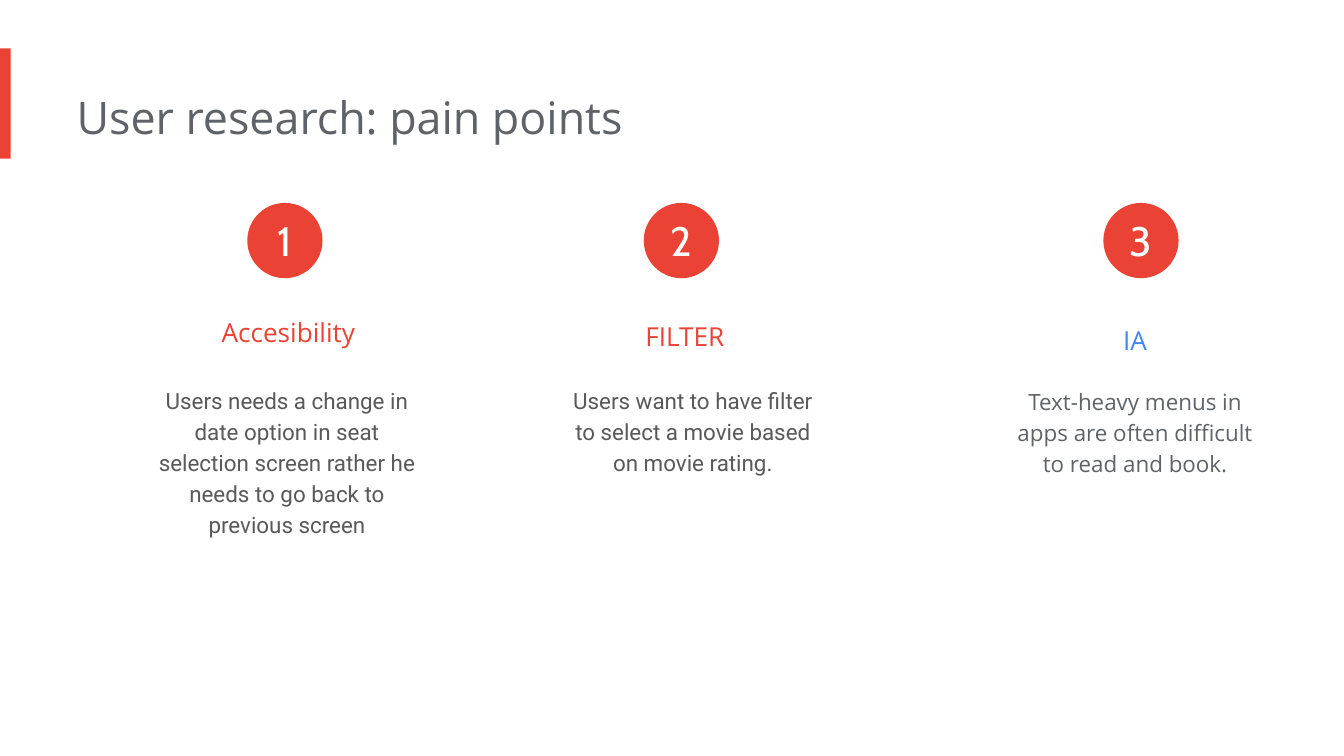
from pptx import Presentation
from pptx.dml.color import RGBColor
from pptx.enum.shapes import MSO_SHAPE
from pptx.enum.text import MSO_ANCHOR, MSO_AUTO_SIZE, PP_ALIGN
from pptx.util import Inches, Pt

RECT, OVAL = MSO_SHAPE.RECTANGLE, MSO_SHAPE.OVAL
LEFT, CENTER = PP_ALIGN.LEFT, PP_ALIGN.CENTER
MIDDLE = MSO_ANCHOR.MIDDLE
GROW = MSO_AUTO_SIZE.SHAPE_TO_FIT_TEXT

WIDE = Inches(10)
HIGH = WIDE * 9 // 16
COLORS = {"red": "EA4335", "blue": "4285F4", "gray": "5F6368",
          "dark": "595959", "white": "FFFFFF"}
SANS, BODY, DIGIT = "Open Sans", "Roboto", "Cabin"

# Positions are percentages of the slide: dot, head and note left edges, note top and height.
POINTS = [
    ("Accesibility", "red",
     "Users needs a change in date option in seat selection screen "
     "rather he needs to go back to previous screen",
     BODY, "dark", (18.4, 11.7, 11.6), (48.9, 24.18)),
    ("FILTER", "red",
     "Users want to have filter to select a movie based on movie rating.",
     BODY, "dark", (47.9, 41.2, 41.8), (48.9, 20.1)),
    ("IA", "blue",
     "Text-heavy menus in apps are often difficult to read and book.",
     SANS, "gray", (82.1, 74.7, 74.7), (49.07, 20.1)),
]


def color(name):
    return RGBColor.from_string(COLORS[name])


def place(x, y, w, h):
    return (round(WIDE * x / 100), round(HIGH * y / 100),
            round(WIDE * w / 100), round(HIGH * h / 100))


def write(frame, text, size, font, tint, align, space=1.0):
    frame.text = text
    para = frame.paragraphs[0]
    para.alignment = align
    para.line_spacing = space
    for run in para.runs:
        run.font.size = Pt(size)
        run.font.name = font
        run.font.color.rgb = color(tint)


def add_text(slide, box, text, size, font, tint, align=CENTER, space=1.0):
    frame = slide.shapes.add_textbox(*place(*box)).text_frame
    frame.word_wrap = True
    frame.auto_size = GROW
    frame.margin_left = 0
    frame.margin_top = frame.margin_right = frame.margin_bottom = Inches(0.1)
    write(frame, text, size, font, tint, align, space)


def add_fill(slide, kind, box):
    shape = slide.shapes.add_shape(kind, *place(*box))
    shape.shadow.inherit = False
    shape.fill.solid()
    shape.fill.fore_color.rgb = color("red")
    shape.line.fill.background()
    return shape


def add_dot(slide, x, digit):
    frame = add_fill(slide, OVAL, (x, 26.84, 5.6, 9.96)).text_frame
    frame.margin_left = frame.margin_right = 0
    frame.margin_top = frame.margin_bottom = 0
    frame.vertical_anchor = MIDDLE
    write(frame, digit, 22, DIGIT, "white", CENTER)


def add_point(slide, index, point):
    head, tint, note, font, shade, lefts, span = point
    dot_x, head_x, note_x = lefts
    top, tall = span
    add_dot(slide, dot_x, str(index + 1))
    add_text(slide, (head_x, 38.04 + 0.53 * index, 20.5, 9.96),
             head, 14, SANS, tint, space=1.5)
    add_text(slide, (note_x, top, 20.5, tall),
             note, 12, font, shade, space=1.15)


def main():
    deck = Presentation()
    deck.slide_width, deck.slide_height = WIDE, HIGH
    slide = deck.slides.add_slide(deck.slide_layouts[6])
    add_fill(slide, RECT, (0, 6.4, 0.8, 14.58))
    add_text(slide, (5.7, 10.13, 67.3, 10.84),
             "User research: pain points", 24, SANS, "gray", LEFT)
    for index, point in enumerate(POINTS):
        add_point(slide, index, point)
    deck.save("out.pptx")


if __name__ == "__main__":
    main()
